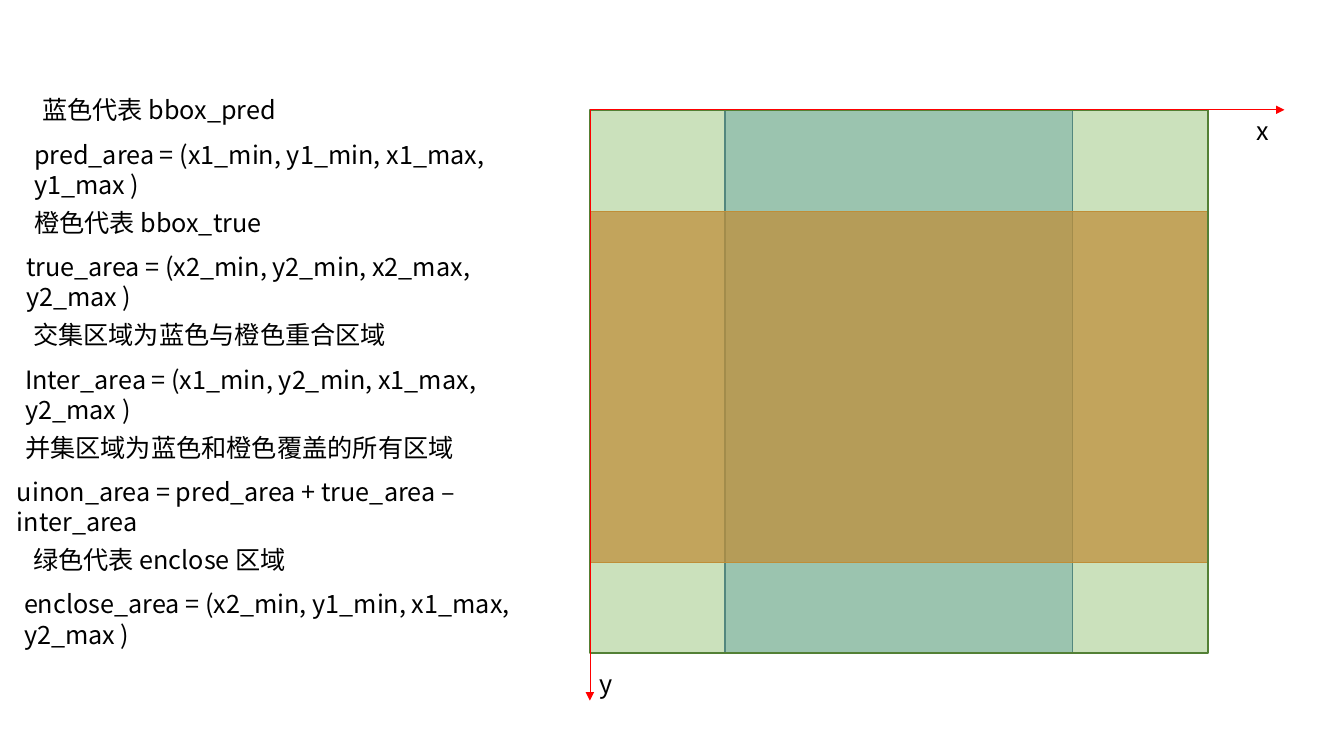
from dataclasses import dataclass

from lxml.etree import SubElement
from pptx import Presentation
from pptx.dml.color import RGBColor
from pptx.enum.shapes import MSO_CONNECTOR, MSO_SHAPE
from pptx.enum.text import MSO_AUTO_SIZE, PP_ALIGN
from pptx.oxml.ns import qn
from pptx.util import Inches, Pt


@dataclass(frozen=True)
class Theme:
    font: str = "Noto Sans CJK SC"
    body: int = 18
    ink: str = "000000"
    axis: str = "FF0000"
    pred: str = "9DC3E6"
    pred_edge: str = "43739E"
    true: str = "ED7D31"
    enclose: str = "70AD47"
    enclose_edge: str = "538035"
    thin: float = 0.5
    edge: float = 1


THEME = Theme()
SLIDE_WIDTH, SLIDE_HEIGHT = Inches(13.33), Inches(7.5)

# Positions and sizes are percentages of the slide's width and height.
ORIGIN_X, ORIGIN_Y = 43.89, 14.53
ENCLOSE_WIDTH, ENCLOSE_HEIGHT = 45.99, 71.87
LINE_HEIGHT = 5.33
AXIS_LABEL_WIDTH = 4.8
FIRST_NOTE_TOP, NOTE_PITCH, FORMULA_DROP = 11.87, 14.87, 5.87

# Each note: caption, its left and width, then formula, its left and width.
NOTES = [
    ("蓝色代表 bbox_pred", 2.4, 25.73,
     "pred_area = (x1_min, y1_min, x1_max, y1_max )", 1.8, 40.14),
    ("橙色代表 bbox_true", 1.8, 25.73,
     "true_area = (x2_min, y2_min, x2_max, y2_max )", 1.2, 40.14),
    ("交集区域为蓝色与橙色重合区域", 1.73, 32.11,
     "Inter_area = (x1_min, y2_min, x1_max, y2_max )", 1.13, 40.14),
    ("并集区域为蓝色和橙色覆盖的所有区域", 1.13, 35.03,
     "uinon_area = pred_area + true_area – inter_area", 0.53, 40.81),
    ("绿色代表 enclose 区域", 1.73, 25.73,
     "enclose_area = (x2_min, y1_min, x1_max, y2_max )", 1.05, 41.79),
]


def across(percent):
    return round(SLIDE_WIDTH * percent / 100)


def down(percent):
    return round(SLIDE_HEIGHT * percent / 100)


def place(left, top, width, height):
    return across(left), down(top), across(width), down(height)


def add_text(slide, text, left, top, width, *, size=THEME.body,
             color=THEME.ink, font=THEME.font, align=PP_ALIGN.LEFT):
    label = slide.shapes.add_textbox(*place(left, top, width, LINE_HEIGHT))
    frame = label.text_frame
    frame.word_wrap = True
    frame.auto_size = MSO_AUTO_SIZE.SHAPE_TO_FIT_TEXT
    paragraph = frame.paragraphs[0]
    paragraph.alignment = align
    run = paragraph.add_run()
    run.text = text
    run.font.size = Pt(size)
    run.font.name = font
    run.font.color.rgb = RGBColor.from_string(color)
    SubElement(run.font._element, qn("a:ea"), typeface=font)


def add_region(slide, left, top, width, height, *, fill, opacity, edge,
               edge_width):
    """Add a see-through rectangle; opacity is in percent."""
    region = slide.shapes.add_shape(MSO_SHAPE.RECTANGLE,
                                    *place(left, top, width, height))
    region.shadow.inherit = False
    region.fill.solid()
    region.fill.fore_color.rgb = RGBColor.from_string(fill)
    tint = region._element.spPr.find(qn("a:solidFill"))[0]
    SubElement(tint, qn("a:alpha"), val=str(opacity * 1000))
    region.line.color.rgb = RGBColor.from_string(edge)
    region.line.width = Pt(edge_width)


def add_axis(slide, end_x, end_y):
    """Draw a coordinate arrow from the shared origin."""
    axis = slide.shapes.add_connector(
        MSO_CONNECTOR.STRAIGHT, across(ORIGIN_X), down(ORIGIN_Y),
        across(end_x), down(end_y))
    axis.line.color.rgb = RGBColor.from_string(THEME.axis)
    axis.line.width = Pt(THEME.thin)
    SubElement(axis.line._get_or_add_ln(), qn("a:tailEnd"), type="triangle")
    SubElement(axis._element.spPr, qn("a:effectLst"))


def add_notes(slide):
    for row, note in enumerate(NOTES):
        caption, caption_left, caption_width = note[:3]
        formula, formula_left, formula_width = note[3:]
        top = FIRST_NOTE_TOP + row * NOTE_PITCH
        add_text(slide, formula, formula_left, top + FORMULA_DROP,
                 formula_width)
        add_text(slide, caption, caption_left, top, caption_width)


def main():
    deck = Presentation()
    deck.slide_width, deck.slide_height = SLIDE_WIDTH, SLIDE_HEIGHT
    slide = deck.slides.add_slide(deck.slide_layouts.get_by_name("Blank"))

    add_region(slide, 53.94, ORIGIN_Y, 25.88, ENCLOSE_HEIGHT,
               fill=THEME.pred, opacity=76, edge=THEME.pred_edge,
               edge_width=THEME.edge)
    add_region(slide, ORIGIN_X, 28, ENCLOSE_WIDTH, 46.4,
               fill=THEME.true, opacity=73, edge=THEME.true,
               edge_width=THEME.thin)
    add_region(slide, ORIGIN_X, ORIGIN_Y, ENCLOSE_WIDTH, ENCLOSE_HEIGHT,
               fill=THEME.enclose, opacity=36, edge=THEME.enclose_edge,
               edge_width=THEME.edge)

    add_notes(slide)

    add_axis(slide, 95.57, ORIGIN_Y)
    add_axis(slide, ORIGIN_X, 92.67)
    add_text(slide, "y", ORIGIN_X, 87.73, AXIS_LABEL_WIDTH)
    add_text(slide, "x", 92.72, ORIGIN_Y, AXIS_LABEL_WIDTH)

    deck.save("out.pptx")


if __name__ == "__main__":
    main()
